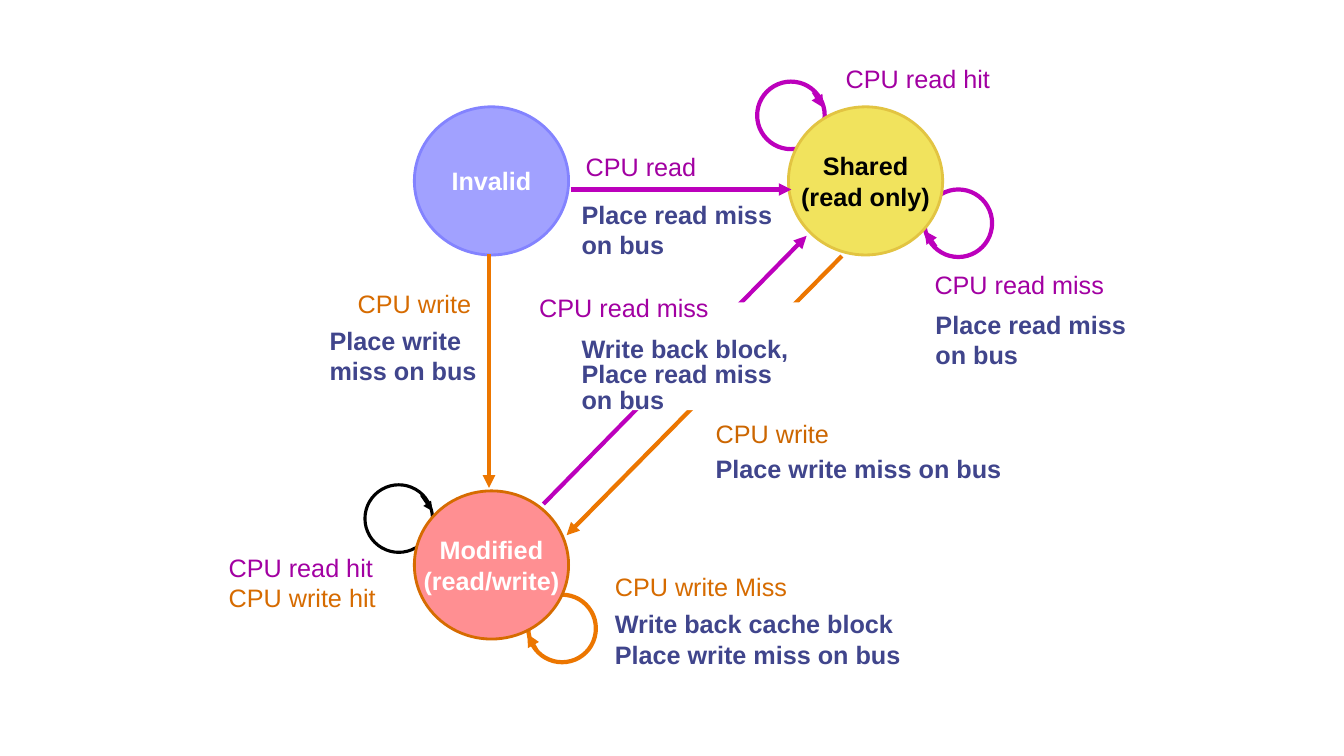
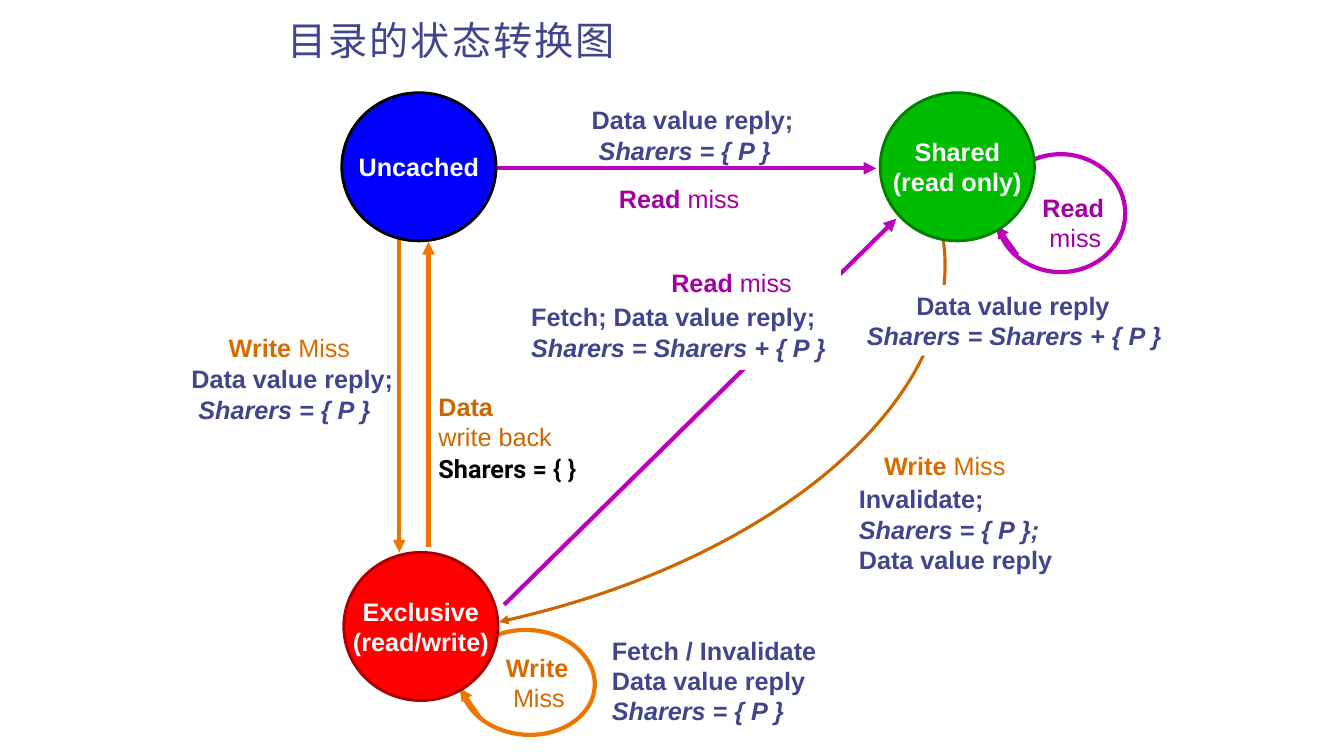
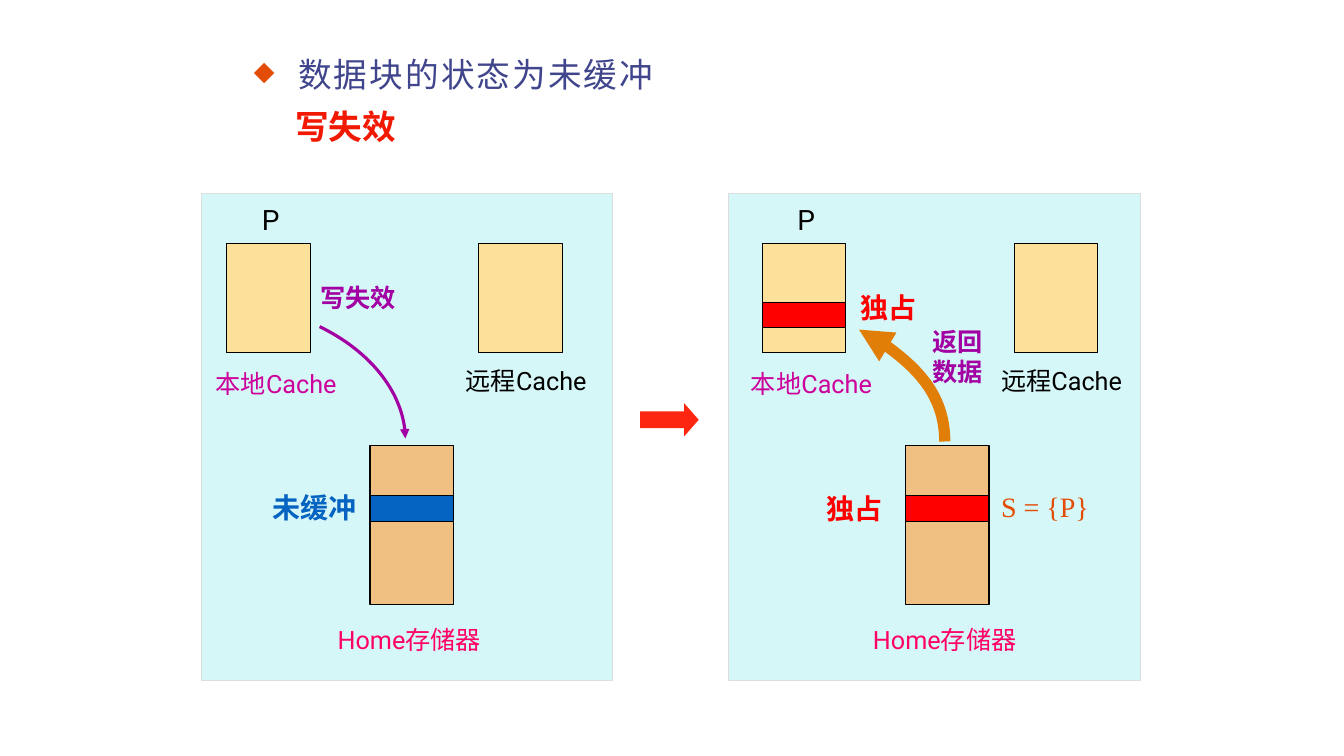
from dataclasses import dataclass, replace

from lxml.etree import SubElement
from pptx import Presentation
from pptx.dml.color import RGBColor
from pptx.enum.shapes import MSO_CONNECTOR, MSO_SHAPE
from pptx.enum.text import MSO_ANCHOR, PP_ALIGN
from pptx.oxml.ns import qn
from pptx.util import Inches, Pt


@dataclass(frozen=True)
class Style:
    color: str
    bold: bool = False
    italic: bool = False
    size: int = 18
    font: str = "Arial"
    spacing: float = 0


@dataclass(frozen=True)
class Line:
    """One paragraph: (text, style) spans plus its spacing in inches and points."""
    spans: tuple
    indent: float = 0
    before: float = 0
    pitch: float = None
    bullet: str = None


@dataclass(frozen=True)
class Theme:
    east_asian: str = "Noto Sans CJK SC"
    white: str = "FFFFFF"
    black: str = "000000"
    navy: str = "40458C"
    purple: str = "A200A2"
    violet: str = "BC00BC"
    orange: str = "EC7600"
    rust: str = "D66B00"
    brown: str = "CC6600"
    ember: str = "E24C05"
    red: str = "FF0000"
    blue: str = "0563C1"
    panel: str = "D6F7F8"
    panel_edge: str = "DDDDDD"
    cache: str = "FDE19B"
    memory: str = "EFC081"
    arrow_width: float = 3
    thin_width: float = 2.25
    state_width: float = 2
    edge_width: float = 0.75
    state_size: tuple = (1.53, 1.47)


THEME = Theme()
READ = Style(THEME.purple)
WRITE = Style(THEME.rust)
WRITE_BACK = Style(THEME.brown)
ACTION = Style(THEME.navy, bold=True)
SHARERS = replace(ACTION, italic=True)
TITLE = Style(THEME.navy, size=28, font="Times New Roman", spacing=1.5)
CAPTION = Style(THEME.black, font="Roboto")
MARK = Style(THEME.red, bold=True, size=20, font="Roboto")
SPACE = 0.07


def bolded(style):
    return replace(style, bold=True)


def lines_of(style, *texts):
    return [Line(((text, style),)) for text in texts]


def event(style, first, rest, **layout):
    return Line(((first, bolded(style)), (rest, style)), **layout)


def rgb(value):
    return RGBColor.from_string(value)


def set_attributes(target, values):
    for name, value in values.items():
        setattr(target, name, value)


def add_bullet(props, mark):
    color = SubElement(props, qn("a:buClr"))
    SubElement(color, qn("a:srgbClr"), val=THEME.ember)
    SubElement(props, qn("a:buSzPct"), val="80000")
    SubElement(props, qn("a:buChar"), char=mark)


def add_span(para, text, style):
    span = para.add_run()
    span.text = text
    set_attributes(span.font, {
        "name": style.font, "size": Pt(style.size),
        "bold": style.bold, "italic": style.italic,
    })
    span.font.color.rgb = rgb(style.color)
    props = span.font._element
    SubElement(props, qn("a:ea"), typeface=THEME.east_asian)
    if style.spacing:
        props.set("spc", str(int(style.spacing * 100)))


def write_lines(frame, lines, align=PP_ALIGN.LEFT):
    for index, line in enumerate(lines):
        para = frame.add_paragraph() if index else frame.paragraphs[0]
        para.alignment = align
        if line.before:
            para.space_before = Pt(line.before)
        if line.pitch:
            para.line_spacing = Pt(line.pitch)
        props = para._p.get_or_add_pPr()
        if line.indent:
            props.set("marL", str(Inches(line.indent)))
        if line.bullet:
            props.set("indent", str(-Inches(line.indent)))
            add_bullet(props, line.bullet)
        for text, style in line.spans:
            add_span(para, text, style)


def add_label(slide, box, lines, fill=None, top=0.05, anchor=MSO_ANCHOR.TOP):
    """Left-aligned text; a fill hides the arrow that runs behind it."""
    label = slide.shapes.add_textbox(*map(Inches, box))
    if fill:
        label.fill.solid()
        label.fill.fore_color.rgb = rgb(fill)
    set_attributes(label.text_frame, {
        "word_wrap": True, "vertical_anchor": anchor,
        "margin_left": Inches(0.1), "margin_right": 0,
        "margin_top": Inches(top), "margin_bottom": 0,
    })
    write_lines(label.text_frame, lines)


def add_title(slide, box, line):
    add_label(slide, box, [line], anchor=MSO_ANCHOR.MIDDLE)


def paint_line(shape, color, width):
    shape.line.color.rgb = rgb(color)
    shape.line.width = Pt(width)


def add_preset(slide, preset, box, fill=None, edge=None, width=THEME.edge_width):
    shape = slide.shapes.add_shape(preset, *map(Inches, box))
    shape.shadow.inherit = False
    if fill:
        shape.fill.solid()
        shape.fill.fore_color.rgb = rgb(fill)
    else:
        shape.fill.background()
    if edge:
        paint_line(shape, edge, width)
    else:
        shape.line.fill.background()
    return shape


def add_block(slide, box, fill, edge=THEME.black):
    add_preset(slide, MSO_SHAPE.RECTANGLE, box, fill, edge)


def add_state(slide, left, top, names, fill, edge, color=THEME.white):
    circle = add_preset(slide, MSO_SHAPE.OVAL, (left, top, *THEME.state_size),
                        fill, edge, THEME.state_width)
    frame = circle.text_frame
    set_attributes(frame, {
        "word_wrap": False, "vertical_anchor": MSO_ANCHOR.MIDDLE,
        "margin_left": 0, "margin_right": 0, "margin_top": 0, "margin_bottom": 0,
    })
    write_lines(frame, lines_of(Style(color, bold=True), *names), PP_ALIGN.CENTER)


def add_arrowhead(shape):
    outline = shape.element.spPr.find(qn("a:ln"))
    SubElement(outline, qn("a:tailEnd"), type="triangle")


def add_arrow(slide, start, end, color, width=THEME.arrow_width):
    arrow = slide.shapes.add_connector(MSO_CONNECTOR.STRAIGHT,
                                       *map(Inches, (*start, *end)))
    paint_line(arrow, color, width)
    add_arrowhead(arrow)
    SubElement(arrow.element.spPr, qn("a:effectLst"))


def add_loop(slide, box, start, end, color, width=THEME.arrow_width, rotation=0):
    ring = add_preset(slide, MSO_SHAPE.OVAL, box, edge=color, width=width)
    ring.rotation = rotation
    add_arrow(slide, start, end, color, width)


def add_curve(slide, points, color, width):
    """Arrow along a cubic Bezier: start, two controls, end."""
    start, *rest = [tuple(map(Inches, point)) for point in points]
    builder = slide.shapes.build_freeform(*start)
    builder.add_line_segments(rest, close=False)
    curve = builder.convert_to_shape()
    outline = curve.element.spPr.find(".//" + qn("a:path"))
    segments = outline.findall(qn("a:lnTo"))
    bezier = SubElement(outline, qn("a:cubicBezTo"))
    for segment in segments:
        bezier.append(segment[0])
        outline.remove(segment)
    curve.shadow.inherit = False
    curve.fill.background()
    paint_line(curve, color, width)
    add_arrowhead(curve)


def build_cache_states(slide):
    for box, start, end, color, width in (
        ((9.17, 1.88), (9.28, 2.45), (9.17, 2.29), THEME.violet, THEME.arrow_width),
        ((5.24, 5.9), (5.32, 6.45), (5.23, 6.29), THEME.orange, THEME.arrow_width),
        ((7.51, 0.81), (8.07, 0.91), (8.17, 1.07), THEME.violet, THEME.arrow_width),
        ((3.62, 4.81), (4.18, 4.91), (4.29, 5.07), THEME.black, THEME.thin_width),
    ):
        add_loop(slide, (*box, 0.67, 0.67), start, end, color, width)

    add_state(slide, 4.11, 1.06, ["Invalid"], "A1A1FF", "8383FF")
    add_state(slide, 7.82, 1.06, ["Shared", "(read only)"], "F1E35D", "E2C442",
              THEME.black)
    add_state(slide, 4.11, 4.87, ["Modified", "(read/write)"], "FF8F92", THEME.rust)

    for start, end, color in (
        ((5.66, 1.88), (7.85, 1.88), THEME.violet),
        ((4.85, 2.52), (4.85, 4.84), THEME.orange),
        ((5.39, 5), (8, 2.34), THEME.violet),
        ((8.35, 2.54), (5.62, 5.31), THEME.orange),
    ):
        add_arrow(slide, start, end, color)

    for box, style, texts in (
        ((5.71, 1.45, 1.31, 0.4), READ, ["CPU read"]),
        ((3.45, 2.81, 1.34, 0.4), WRITE, ["CPU write"]),
        ((8.29, 0.58, 1.64, 0.4), READ, ["CPU read hit"]),
        ((5.67, 1.93, 2.11, 0.7), ACTION, ["Place read miss", "on bus"]),
        ((3.17, 3.18, 1.67, 0.7), ACTION, ["Place write", "miss on bus"]),
        ((7, 4.1, 1.34, 0.4), WRITE_BACK, ["CPU write"]),
        ((7, 4.45, 3.03, 0.4), ACTION, ["Place write miss on bus"]),
        ((9.17, 2.62, 1.88, 0.4), READ, ["CPU read miss"]),
        ((9.18, 3.02, 2.18, 0.7), ACTION, ["Place read miss", "on bus"]),
        ((6, 5.62, 1.91, 0.4), WRITE, ["CPU write Miss"]),
        ((6, 5.99, 3.06, 0.7), ACTION,
         ["Write back cache block", "Place write miss on bus"]),
    ):
        add_label(slide, box, lines_of(style, *texts))
    add_label(slide, (2.17, 5.43, 1.67, 0.7),
              lines_of(READ, "CPU read hit") + lines_of(WRITE, "CPU write hit"))
    write_back = lines_of(ACTION, "Write back block,", "Place read miss", "on bus")
    add_label(slide, (5.67, 3, 2.5, 1.07),
              [replace(line, pitch=18) for line in write_back],
              THEME.white, top=0.36)
    add_label(slide, (5.25, 2.85, 1.9, 0.4), lines_of(READ, "CPU read miss"),
              THEME.white)


def build_directory_states(slide):
    add_title(slide, (2.75, 0.08, 7.83, 0.58), Line((("目录的状态转换图", TITLE),)))
    add_curve(slide, ((9.35, 2.34), (9.61, 3.91), (7.7, 5.57), (4.95, 6.17)),
              THEME.brown, THEME.thin_width)
    add_loop(slide, (9.88, 1.53, 1.28, 1.17), (10.09, 2.53), (9.88, 2.24),
             THEME.violet)
    add_loop(slide, (4.57, 6.25, 1.33, 1.04), (4.76, 7.12), (4.56, 6.83),
             THEME.orange, rotation=3.8)
    for start, end, color in (
        ((3.96, 2.17), (3.96, 5.48), THEME.orange),
        ((4.25, 5.43), (4.25, 2.4), THEME.orange),
        ((4.92, 1.67), (8.69, 1.67), THEME.violet),
        ((5, 6), (8.89, 2.17), THEME.violet),
    ):
        add_arrow(slide, start, end, color)

    add_state(slide, 3.39, 0.92, ["Uncached"], "0000FF", THEME.black)
    add_state(slide, 8.73, 0.92, ["Shared", "(read only)"], "00BC00", "008000")
    add_state(slide, 3.41, 5.48, ["Exclusive", "(read/write)"], THEME.red, "A80000")

    read_miss = event(READ, "Read", " miss")
    write_miss = event(WRITE, "Write", " Miss")
    only_p = Line((("Sharers = { P }", SHARERS),))
    add_p = Line((("Sharers = Sharers + { P }", SHARERS),))
    reply = Line((("Data value reply", ACTION),))
    reply_then_only_p = [Line((("Data value reply;", ACTION),)),
                         replace(only_p, indent=SPACE)]
    for box, lines in (
        ((6.04, 1.77, 1.4, 0.4), [read_miss]),
        ((2.17, 3.25, 1.41, 0.4), [write_miss]),
        ((8.67, 4.42, 1.41, 0.4), [write_miss]),
        ((5.77, 0.99, 2.2, 0.7), reply_then_only_p),
        ((1.8, 3.56, 2.2, 0.7), reply_then_only_p),
        ((10.24, 1.86, 0.81, 0.7), [Line((("Read", bolded(READ)),)),
                                    Line((("miss", READ),), SPACE)]),
        ((4.92, 6.42, 0.83, 0.7), [Line((("Write", bolded(WRITE)),)),
                                   Line((("Miss", WRITE),), SPACE)]),
        ((4.25, 3.83, 1.34, 0.7), lines_of(bolded(WRITE_BACK), "Data")
         + lines_of(WRITE_BACK, "write back")),
        ((4.25, 4.45, 2.08, 0.4), lines_of(bolded(CAPTION), "Sharers = { }")),
        ((5.97, 6.25, 2.25, 1.01),
         lines_of(ACTION, "Fetch / Invalidate") + [reply, only_p]),
        ((8.42, 4.75, 2.12, 1), lines_of(ACTION, "Invalidate;")
         + lines_of(SHARERS, "Sharers = { P };") + [reply]),
    ):
        add_label(slide, box, lines)
    add_label(slide, (5.17, 2.65, 3.17, 1.02),
              [replace(read_miss, indent=1.39),
               Line((("Fetch; Data value reply;", ACTION),), before=3), add_p],
              THEME.white, top=0)
    add_label(slide, (8.5, 2.83, 3.17, 0.7),
              [replace(reply, indent=0.49), add_p], THEME.white)


def add_system(slide, panel_left, shift, block_color):
    """Panel with both caches and home memory; shift moves its contents right."""
    add_block(slide, (panel_left, 1.92, 4.08, 4.83), THEME.panel, THEME.panel_edge)
    for left, top, height, fill in (
        (2.25, 2.42, 1.08, THEME.cache),
        (4.75, 2.42, 1.08, THEME.cache),
        (3.67, 4.42, 1.58, THEME.memory),
        (3.67, 4.92, 0.25, block_color),
    ):
        add_block(slide, (left + shift, top, 0.83, height), fill)
    for left, top, text, style in (
        (2.5, 1.96, "P", replace(CAPTION, size=20)),
        (2.04, 3.6, "本地Cache", replace(CAPTION, color="CD009B")),
        (4.52, 3.58, "远程Cache", CAPTION),
        (3.25, 6.14, "Home存储器", replace(CAPTION, color="FF0066")),
    ):
        add_label(slide, (left + shift, top, 1.75, 0.4), lines_of(style, text))


def build_write_miss(slide):
    title = replace(TITLE, size=24)
    add_title(slide, (2.42, 0.42, 5.08, 0.58),
              Line((("数据块的状态为未缓冲", title),), indent=0.44, bullet="◆"))
    shift = 5.31
    add_system(slide, 2, 0, THEME.blue)
    add_system(slide, 7.23, shift, THEME.red)
    add_block(slide, (2.25 + shift, 3, 0.83, 0.25), THEME.red)
    arrow = add_preset(slide, MSO_SHAPE.RIGHT_ARROW, (6.35, 4, 0.58, 0.33), "FD2711")
    arrow.adjustments[1] = 0.438
    add_curve(slide, ((3.17, 3.24), (3.68, 3.49), (4.02, 3.94), (4.02, 4.35)),
              THEME.purple, THEME.thin_width)
    add_curve(slide, ((9.37, 4.38), (9.37, 3.96), (9.03, 3.52), (8.52, 3.27)),
              "E17E07", 8)

    message = Style(THEME.purple, bold=True, font="Roboto")
    for box, style, texts in (
        ((2.83, 1, 1.33, 0.5), replace(MARK, color="F21902", size=24), ["写失效"]),
        ((3.08, 2.75, 1.17, 0.4), message, ["写失效"]),
        ((2.6, 4.82, 1.08, 0.43), replace(MARK, color=THEME.blue), ["未缓冲"]),
        ((9.15, 3.19, 0.87, 0.7), message, ["返回", "数据"]),
        ((8.1, 4.83, 0.83, 0.43), MARK, ["独占"]),
        ((8.44, 2.83, 0.83, 0.43), MARK, ["独占"]),
        ((9.83, 4.81, 1.25, 0.43),
         Style(THEME.ember, size=20, font="Times New Roman"), ["S = {P}"]),
    ):
        add_label(slide, box, lines_of(style, *texts))


def main():
    deck = Presentation()
    deck.slide_width, deck.slide_height = Inches(13.33), Inches(7.5)
    blank = deck.slide_layouts[6]
    for build in (build_cache_states, build_directory_states, build_write_miss):
        build(deck.slides.add_slide(blank))
    deck.save("out.pptx")


if __name__ == "__main__":
    main()
